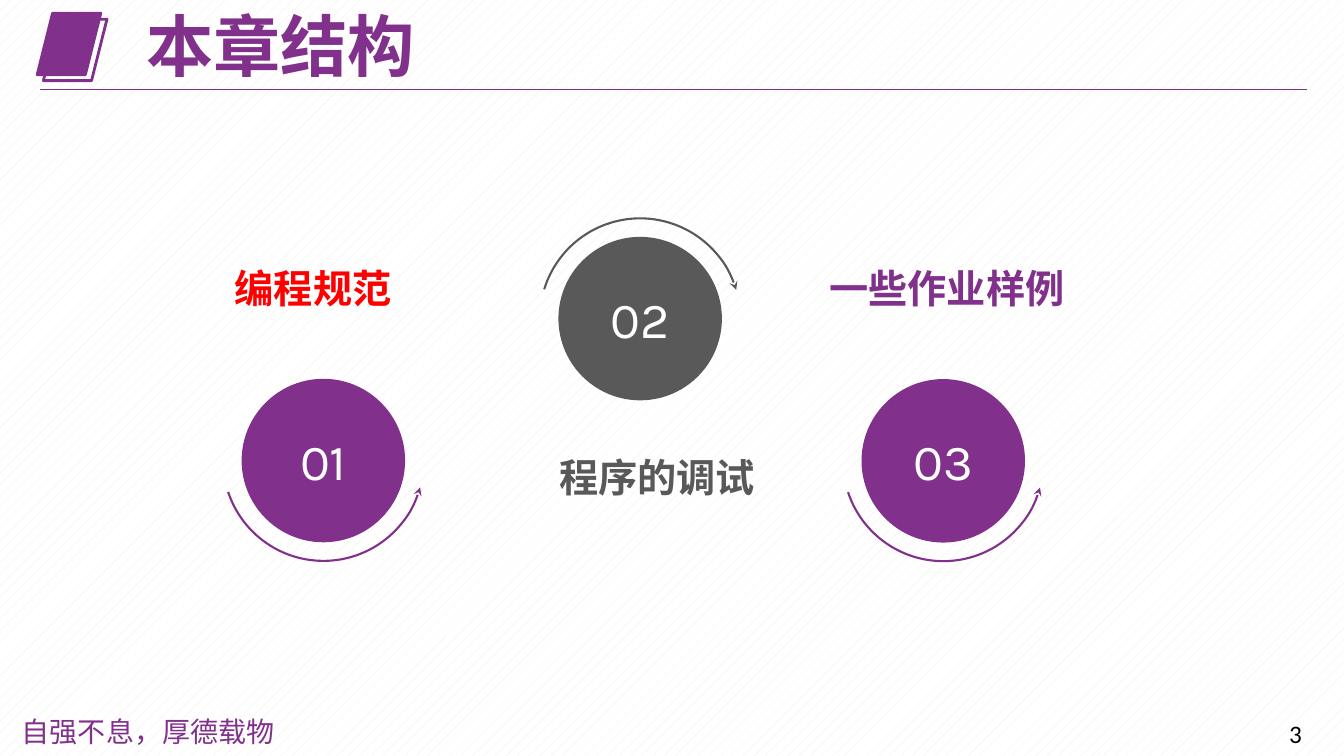
from dataclasses import dataclass

from lxml import etree
from pptx import Presentation
from pptx.dml.color import RGBColor
from pptx.enum import dml, shapes, text
from pptx.oxml import ns
from pptx.util import Pt


@dataclass(frozen=True)
class Theme:
    purple: str = "81308C"
    gray: str = "595959"
    red: str = "FF0000"
    white: str = "FFFFFF"
    black: str = "000000"
    cream: str = "EEECE1"
    title: int = 48
    number: int = 36
    label: int = 28
    motto: int = 20
    page: int = 18
    han: str = "Noto Sans CJK SC"
    han_jp: str = "Noto Sans CJK JP"
    digit: str = "Karla"
    plain: str = "Calibri"


def rgb(color):
    return RGBColor.from_string(color)


class Deck:
    def __init__(self, theme):
        self.theme = theme
        self.file = Presentation()
        self.file.slide_width, self.file.slide_height = Pt(960), Pt(540)
        self.slide = self.file.slides.add_slide(self.file.slide_layouts[6])

    def ground(self):
        fill = self.slide.background.fill
        fill.patterned()
        fill.pattern = dml.MSO_PATTERN.PERCENT_10
        fill.fore_color.rgb = rgb(self.theme.cream)
        fill.back_color.rgb = rgb(self.theme.white)

    def run(self, para, words, size, font, color, bold=False):
        run = para.add_run()
        run.text = words
        run.font.size, run.font.bold = Pt(size), bold
        run.font.color.rgb = rgb(color)
        run.font.name = font
        east = etree.SubElement(run.font._element, ns.qn("a:ea"))
        east.set("typeface", font)

    def label(self, box, words, size, font, color, bold=False,
              anchor=text.MSO_ANCHOR.TOP, space=1.0):
        frame = self.slide.shapes.add_textbox(*map(Pt, box)).text_frame
        frame.word_wrap = True
        frame.vertical_anchor = anchor
        para = frame.paragraphs[0]
        para.line_spacing = space
        self.run(para, words, size, font, color, bold)

    def shape(self, kind, box, fill=None, line=None, width=0):
        item = self.slide.shapes.add_shape(kind, *map(Pt, box))
        item.shadow.inherit = False
        if fill:
            item.fill.solid()
            item.fill.fore_color.rgb = rgb(fill)
        else:
            item.fill.background()
        if line:
            item.line.color.rgb = rgb(line)
            item.line.width = Pt(width)
        else:
            item.line.fill.background()
        return item

    def rule(self, left, right, top, color):
        line = self.slide.shapes.add_connector(
            shapes.MSO_CONNECTOR.STRAIGHT, Pt(left), Pt(top), Pt(right), Pt(top))
        line.line.color.rgb = rgb(color)
        line.line.width = Pt(0.75)
        etree.SubElement(line._element.spPr, ns.qn("a:effectLst"))

    def disc(self, x, y, words, color):
        size = 116.8
        item = self.shape(shapes.MSO_SHAPE.OVAL,
                          (x - size / 2, y - size / 2, size, size), color)
        frame = item.text_frame
        frame.vertical_anchor = text.MSO_ANCHOR.MIDDLE
        para = frame.paragraphs[0]
        para.alignment = text.PP_ALIGN.CENTER
        self.run(para, words, self.theme.number, self.theme.digit, self.theme.white)

    def sweep(self, x, y, color, over):
        size = 143.3
        item = self.shape(shapes.MSO_SHAPE.ARC,
                          (x - size / 2, y - size / 2, size, size),
                          line=color, width=1.5)
        item.adjustments[0], item.adjustments[1] = 145.86, 17.63
        item.rotation = 46.4 if over else 132.4
        if over:
            item._element.spPr.find(ns.qn("a:xfrm")).set("flipH", "1")
        head = etree.SubElement(item.line._get_or_add_ln(), ns.qn("a:headEnd"))
        head.set("type", "stealth")


def main():
    look = Theme()
    deck = Deck(look)
    deck.ground()

    # Footer
    deck.label((8.6, 506.9, 200, 31.7), "自强不息，厚德载物",
               look.motto, look.han_jp, look.purple)
    deck.label((913.7, 509.8, 44, 28.8), "3", look.page, look.plain, look.black)

    # Heading with its two slanted tiles
    for left, top, fill in ((26.6, 9.4, look.purple), (31, 13.7, None)):
        deck.shape(shapes.MSO_SHAPE.PARALLELOGRAM, (left, top, 45.4, 43.9),
                   fill, look.purple, 2)
    deck.rule(28.8, 933.8, 64.1, look.purple)
    deck.label((97.2, 7.9, 442.8, 54.7), "本章结构", look.title, look.han,
               look.purple, True, text.MSO_ANCHOR.MIDDLE, 0.9)

    # Chapter parts: centre, disc colour, label place and colour
    parts = (
        (231, 329, look.purple, "编程规范", 160.6, 185, look.red),
        (457.3, 227.6, look.gray, "程序的调试", 392.4, 320.4, look.gray),
        (673.8, 329.2, look.purple, "一些作业样例", 585.4, 185, look.purple),
    )
    for index, (x, y, color, words, left, top, ink) in enumerate(parts, 1):
        deck.disc(x, y, f"{index:02}", color)
        deck.sweep(x, y, color, over=index % 2 == 0)
        deck.label((left, top, 190, 55), words, look.label, look.han, ink, True)

    deck.file.save("out.pptx")


if __name__ == "__main__":
    main()
